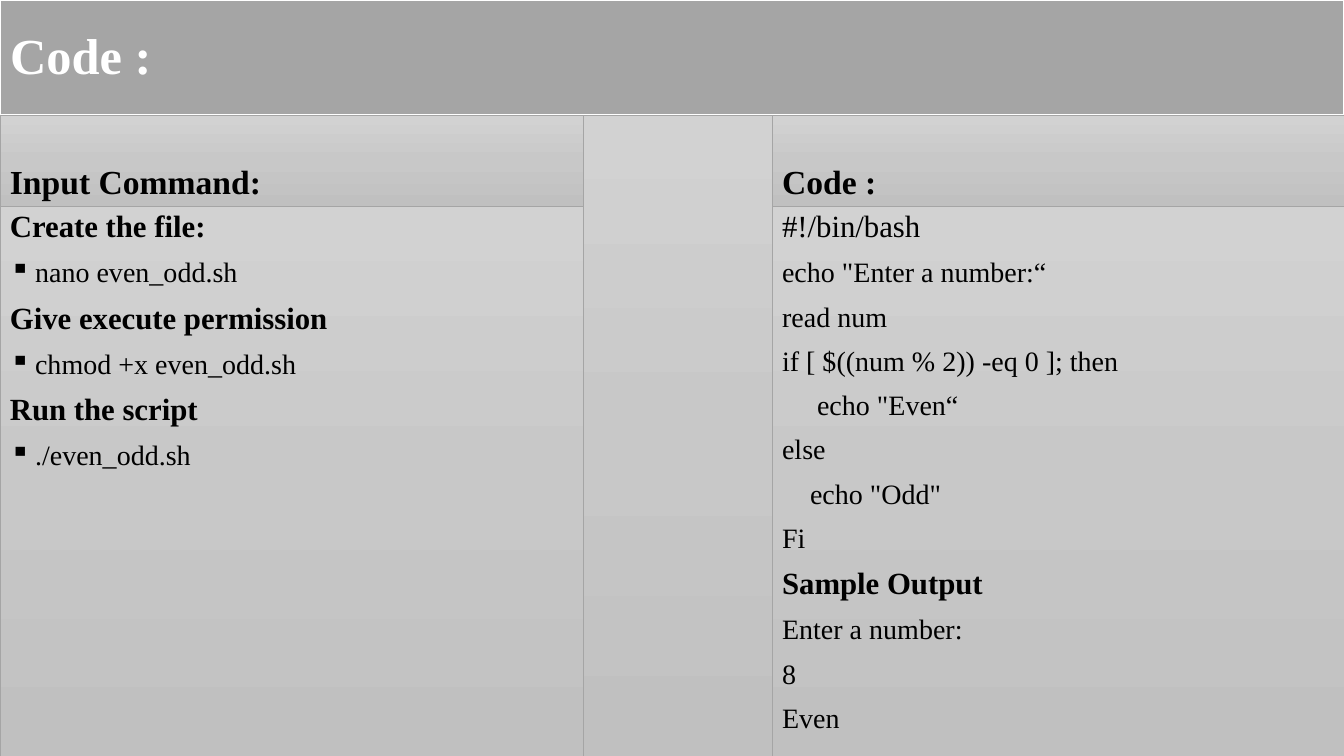
import copy
import pptx
import pptx.dml.color
import pptx.enum.shapes
import pptx.enum.text
import pptx.oxml
import pptx.oxml.ns
import pptx.util

Cm = pptx.util.Cm
Pt = pptx.util.Pt
ANCHOR = pptx.enum.text.MSO_ANCHOR
LEFT = pptx.enum.text.PP_ALIGN.LEFT


def color(hex_string):
    return pptx.dml.color.RGBColor.from_string(hex_string)


def add_panel(left, top, width, height, anchor, lines):
    panel = slide.shapes.add_shape(
        pptx.enum.shapes.MSO_SHAPE.RECTANGLE, Cm(left), Cm(top), Cm(width), Cm(height))
    panel.shadow.inherit = False
    panel.line.color.rgb = color("A5A5A5")
    panel.line.width = Pt(0.5)
    panel.fill.gradient()
    panel.fill.gradient_angle = 270
    stop_list = panel._element.spPr.find(".//" + pptx.oxml.ns.qn("a:gsLst"))
    stop_list.append(copy.deepcopy(stop_list[-1]))
    for stop, (position, shade) in zip(panel.fill.gradient_stops, GRADIENT):
        stop.position = position
        stop.color.rgb = color(shade)
    frame = panel.text_frame
    frame.word_wrap = True
    frame.vertical_anchor = anchor
    for index, (text, size, bold, bullet) in enumerate(lines):
        paragraph = frame.add_paragraph() if index else frame.paragraphs[0]
        paragraph.text = text
        paragraph.alignment = LEFT
        paragraph.line_spacing = 0.9
        paragraph.space_before = Pt(10 if index else 0)
        if bullet:
            properties = paragraph._p.get_or_add_pPr()
            properties.set("marL", str(Cm(0.635)))
            properties.set("indent", str(-Cm(0.635)))
            properties.append(pptx.oxml.parse_xml(
                f'<a:buChar {pptx.oxml.ns.nsdecls("a")} char="{bullet}"/>'))
        for run in paragraph.runs:
            run.font.name = "Times New Roman"
            run.font.size = Pt(size)
            run.font.bold = bold
            run.font.color.rgb = color("000000")


GRADIENT = [(0, "D2D2D2"), (0.5, "C8C8C8"), (1, "C0C0C0")]
SLIDE_WIDTH, SLIDE_HEIGHT = 33.87, 19.05
TITLE_HEIGHT = 2.91
HEADING_HEIGHT = 2.29
BODY_TOP = TITLE_HEIGHT + HEADING_HEIGHT
COMMANDS_WIDTH = 14.71
CODE_LEFT = 19.46

presentation = pptx.Presentation()
presentation.slide_width = Cm(SLIDE_WIDTH)
presentation.slide_height = Cm(SLIDE_HEIGHT)
slide = presentation.slides.add_slide(presentation.slide_layouts[5])

title = slide.shapes.title
title.left, title.top = Cm(0), Cm(0)
title.width, title.height = Cm(SLIDE_WIDTH), Cm(TITLE_HEIGHT)
title.fill.solid()
title.fill.fore_color.rgb = color("A5A5A5")
title.line.color.rgb = color("FFFFFF")
title.line.width = Pt(1.5)
title.text_frame.text = "Code :"
title.text_frame.vertical_anchor = ANCHOR.MIDDLE
title_paragraph = title.text_frame.paragraphs[0]
title_paragraph.alignment = LEFT
title_paragraph.line_spacing = 0.9
title_font = title_paragraph.runs[0].font
title_font.name = "Times New Roman"
title_font.size = Pt(36)
title_font.bold = True
title_font.color.rgb = color("FFFFFF")

steps = [
    ("Create the file:", "nano even_odd.sh"),
    ("Give execute permission", "chmod +x even_odd.sh"),
    ("Run the script", "./even_odd.sh"),
]
command_lines = []
for step, command in steps:
    command_lines += [(step, 22, True, None), (command, 20, False, "▪")]

script_lines = [
    'echo "Enter a number:“',
    "read num",
    "if [ $((num % 2)) -eq 0 ]; then",
    '     echo "Even“',
    "else",
    '    echo "Odd"',
    "Fi",
]
code_lines = [("#!/bin/bash", 22, False, None)]
code_lines += [(line, 20, False, None) for line in script_lines]
code_lines += [("Sample Output", 22, True, None)]
code_lines += [(line, 20, False, None) for line in ("Enter a number:", "8", "Even")]

columns = [
    (0, COMMANDS_WIDTH, "Input Command:", command_lines),
    (CODE_LEFT, SLIDE_WIDTH - CODE_LEFT, "Code :", code_lines),
]
for left, width, heading, lines in columns:
    add_panel(left, TITLE_HEIGHT, width, HEADING_HEIGHT, ANCHOR.BOTTOM,
              [(heading, 24, True, None)])
    add_panel(left, BODY_TOP, width, SLIDE_HEIGHT - BODY_TOP, ANCHOR.TOP, lines)

add_panel(COMMANDS_WIDTH, TITLE_HEIGHT, CODE_LEFT - COMMANDS_WIDTH,
          SLIDE_HEIGHT - TITLE_HEIGHT, ANCHOR.MIDDLE, [])

presentation.save("out.pptx")
